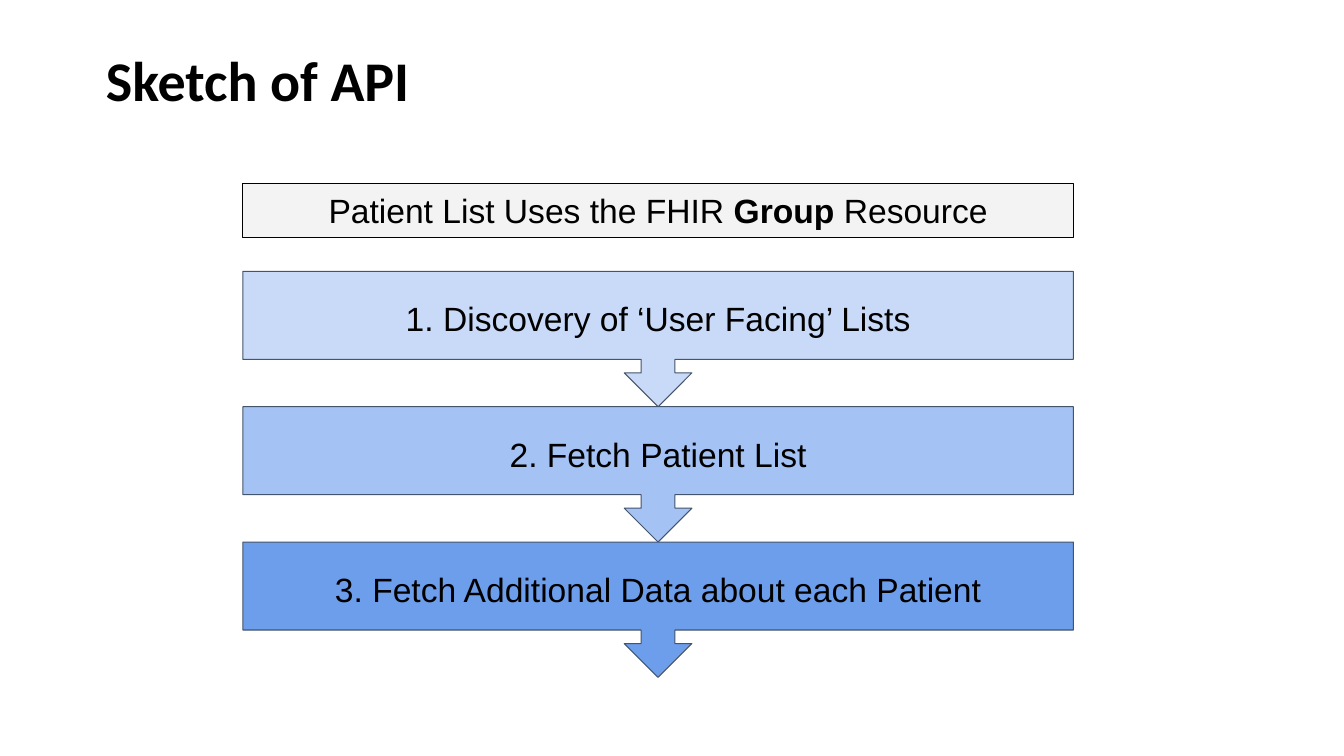
from pptx import Presentation
from pptx.dml.color import RGBColor
from pptx.enum.shapes import MSO_SHAPE
from pptx.enum.text import MSO_ANCHOR, PP_ALIGN
from pptx.util import Cm, Pt

RECT = MSO_SHAPE.RECTANGLE
CALLOUT = MSO_SHAPE.DOWN_ARROW_CALLOUT
TOP, MIDDLE = MSO_ANCHOR.TOP, MSO_ANCHOR.MIDDLE
LEFT, CENTER = PP_ALIGN.LEFT, PP_ALIGN.CENTER
TITLE_ONLY = 5
INSET = Cm(0.33)

COLORS = {
    "text": "000000",
    "banner": "F3F3F3",
    "banner_line": "000000",
    "step_line": "44546A",
    "step1": "C9DAF8",
    "step2": "A4C2F4",
    "step3": "6D9EEB",
}

STEPS = [
    ("1. Discovery of ‘User Facing’ Lists", "step1"),
    ("2. Fetch Patient List", "step2"),
    ("3. Fetch Additional Data about each Patient", "step3"),
]


def color(name):
    return RGBColor.from_string(COLORS[name])


def format_text(sp, size, font, anchor, align, spacing, bold=None):
    tf = sp.text_frame
    tf.word_wrap = True
    tf.vertical_anchor = anchor
    tf.margin_left = tf.margin_right = INSET
    tf.margin_top = tf.margin_bottom = INSET
    p = tf.paragraphs[0]
    p.alignment = align
    p.line_spacing = spacing
    p.font.size = Pt(size)
    p.font.name = font
    p.font.bold = bold
    p.font.color.rgb = color("text")
    return p


def add_box(s, kind, x, y, w, h, fill, line):
    sp = s.shapes.add_shape(kind, Cm(x), Cm(y), Cm(w), Cm(h))
    sp.shadow.inherit = False
    sp.fill.solid()
    sp.fill.fore_color.rgb = color(fill)
    sp.line.color.rgb = color(line)
    sp.line.width = Pt(0.75)
    return sp


def add_title(s, x, y, w, h):
    sp = s.shapes.title
    sp.left, sp.top, sp.width, sp.height = Cm(x), Cm(y), Cm(w), Cm(h)
    sp.text_frame.text = "Sketch of API"
    format_text(sp, 40, "Calibri", TOP, LEFT, 0.9, True)


def add_banner(s, x, y, w, h):
    sp = add_box(s, RECT, x, y, w, h, "banner", "banner_line")
    p = format_text(sp, 24, "Arial", MIDDLE, CENTER, 1.0)
    for text, bold in [("Patient List Uses the FHIR ", False),
                       ("Group", True), (" Resource", False)]:
        r = p.add_run()
        r.text = text
        r.font.bold = bold


def add_steps(s, x, y, w, h):
    step_h = h / len(STEPS)
    for i, (text, fill) in enumerate(STEPS):
        sp = add_box(s, CALLOUT, x, y + i * step_h, w, step_h, fill, "step_line")
        for j, value in enumerate((0.25, 0.25, 0.25, 0.65)):
            sp.adjustments[j] = value
        sp.text_frame.text = text
        format_text(sp, 24, "Arial", MIDDLE, CENTER, 1.15)


def main():
    prs = Presentation()
    prs.slide_width, prs.slide_height = Cm(33.87), Cm(19.05)
    s = prs.slides.add_slide(prs.slide_layouts[TITLE_ONLY])
    add_title(s, 2.34, 1.02, 29.21, 3.68)
    add_steps(s, 6.12, 6.84, 20.93, 10.23)
    add_banner(s, 6.12, 4.62, 20.93, 1.37)
    prs.save("out.pptx")


if __name__ == "__main__":
    main()
